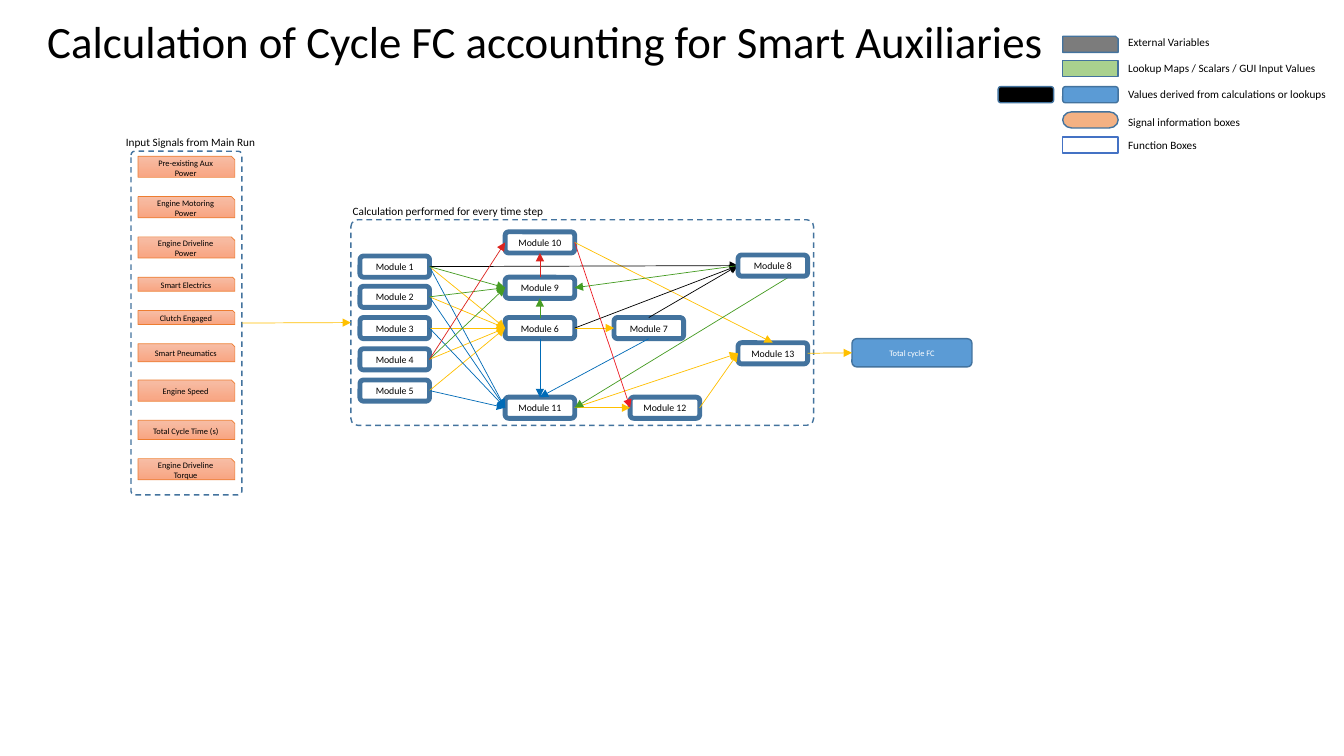
from lxml import etree
from pptx import Presentation
from pptx import util as u
from pptx.dml.color import RGBColor
from pptx.enum import dml, shapes, text
from pptx.oxml.ns import qn

COLORS = {
    "black": "000000", "white": "FFFFFF", "steel": "43739E", "blue": "5B9BD5",
    "gold": "FFC000", "navy": "006BB7", "green": "469C23", "red": "DC241F",
    "scarlet": "ED1C24", "orange": "ED7D31", "peach": "F7BDA5", "salmon": "F8A582",
    "gray": "7C7C7C", "lime": "A9D18E", "apricot": "F4B183", "royal": "4472C4",
}
FONT = "Calibri"
KIND = shapes.MSO_SHAPE
SITES = {"top": 0, "left": 1, "bottom": 2, "right": 3}

CAPTIONS = [
    ("Calculation of Cycle FC accounting for Smart Auxiliaries", 0.37, 0.09, 10.29, 0.64, 32),
    ("Input Signals from Main Run", 1.15, 1.29, 1.5, 0.24, 8),
    ("Calculation performed for every time step", 3.4, 1.98, 2.14, 0.24, 8),
]
FRAMES = {"inputs": (1.3, 1.5, 1.1, 3.41), "steps": (3.48, 2.18, 4.59, 2.04)}
SIGNALS = [
    ("Pre-existing Aux Power", 1.55, 0.21),
    ("Engine Motoring Power", 1.95, 0.21),
    ("Engine Driveline Power", 2.35, 0.21),
    ("Smart Electrics", 2.75, 0.14),
    ("Clutch Engaged", 3.08, 0.14),
    ("Smart Pneumatics", 3.41, 0.18),
    ("Engine Speed", 3.77, 0.21),
    ("Total Cycle Time (s)", 4.17, 0.19),
    ("Engine Driveline Torque", 4.55, 0.21),
]
MODULES = {
    1: (3.57, 2.54), 2: (3.57, 2.84), 3: (3.57, 3.15), 4: (3.57, 3.46), 5: (3.57, 3.77),
    6: (5.01, 3.15), 7: (6.09, 3.15), 8: (7.32, 2.53), 9: (5.01, 2.75), 10: (5.01, 2.3),
    11: (5.01, 3.94), 12: (6.25, 3.94), 13: (7.32, 3.4),
}
RESULT = ("Total cycle FC", 8.45, 3.36, 1.19, 0.28)
LINKS = [
    ("gold", "right", "left", [("inputs", "steps"), (6, 7), (1, 6), (2, 6), (3, 6), (4, 6),
                               (5, 6), (11, 12), (11, 13), (12, 13), (13, "result")]),
    ("gold", "right", "top", [(10, 13)]),
    ("black", "right", "left", [(1, 8), (6, 8)]),
    ("black", "top", "left", [(7, 8)]),
    ("navy", "right", "left", [(1, 11), (2, 11), (3, 11), (5, 11)]),
    ("navy", "bottom", "top", [(6, 11), (7, 11)]),
    ("green", "right", "left", [(1, 9), (2, 9), (4, 9)]),
    ("green", "top", "bottom", [(6, 9)]),
    ("green", "left", "right", [(8, 9)]),
    ("green", "right", "right", [(8, 11)]),
    ("red", "top", "bottom", [(9, 10)]),
    ("red", "right", "left", [(4, 10)]),
    ("scarlet", "right", "left", [(10, 12)]),
]
LEGEND = [
    ("External Variables", KIND.SNIP_1_RECTANGLE, "gray", "steel", 0.36, 0.3, 1.05),
    ("Lookup Maps / Scalars / GUI Input Values", KIND.RECTANGLE, "lime", "steel", 0.6, 0.56, 2.11),
    ("Values derived from calculations or lookups", KIND.ROUNDED_RECTANGLE, "blue", "steel",
     0.86, 0.82, 2.2),
    ("Signal information boxes", KIND.FLOWCHART_TERMINATOR, "apricot", "steel", 1.11, 1.09, 1.33),
    ("Function Boxes", KIND.RECTANGLE, "white", "royal", 1.36, 1.32, 0.9),
]


def rgb(name):
    return RGBColor.from_string(COLORS[name])


def apply(target, formats):
    for key, value in formats.items():
        setattr(target, key, value)


def write(frame, words, size, color="black", **formats):
    apply(frame, formats)
    paragraph = frame.paragraphs[0]
    run = paragraph.add_run()
    run.text = words
    apply(run.font, {"name": FONT, "size": u.Pt(size)})
    run.font.color.rgb = rgb(color)
    return paragraph


def caption(slide, words, left, top, width, height, size):
    box = slide.shapes.add_textbox(*map(u.Inches, (left, top, width, height)))
    write(box.text_frame, words, size, word_wrap=False,
          auto_size=text.MSO_AUTO_SIZE.SHAPE_TO_FIT_TEXT)


def block(slide, kind, place, fill, line, weight):
    shape = slide.shapes.add_shape(kind, *map(u.Inches, place))
    shape.shadow.inherit = False
    if fill is None:
        shape.fill.background()
    elif isinstance(fill, tuple):
        shape.fill.gradient()
        shape.fill.gradient_angle = 270
        for stop, name in zip(shape.fill.gradient_stops, fill):
            stop.color.rgb = rgb(name)
    else:
        shape.fill.solid()
        shape.fill.fore_color.rgb = rgb(fill)
    shape.line.color.rgb = rgb(line)
    shape.line.width = u.Pt(weight)
    return shape


def label(shape, words, size, color="black"):
    paragraph = write(shape.text_frame, words, size, color, word_wrap=True,
                      vertical_anchor=text.MSO_ANCHOR.MIDDLE)
    paragraph.alignment = text.PP_ALIGN.CENTER


def link(slide, source, leave, target, enter, color):
    arrow = slide.shapes.add_connector(shapes.MSO_CONNECTOR.STRAIGHT, 0, 0, 0, 0)
    arrow.begin_connect(source, SITES[leave])
    arrow.end_connect(target, SITES[enter])
    arrow.line.color.rgb = rgb(color)
    arrow.line.width = u.Pt(0.5)
    etree.SubElement(arrow.line._get_or_add_ln(), qn("a:tailEnd"), type="triangle")
    etree.SubElement(arrow.element.spPr, qn("a:effectLst"))


def main():
    deck = Presentation()
    apply(deck, {"slide_width": u.Inches(13.33), "slide_height": u.Inches(7.5)})
    slide = deck.slides.add_slide(deck.slide_layouts[6])
    nodes = {}

    for entry in CAPTIONS:
        caption(slide, *entry)
    for name, place in FRAMES.items():
        nodes[name] = block(slide, KIND.ROUNDED_RECTANGLE, place, None, "steel", 1)
        nodes[name].adjustments[0] = 0.034
        nodes[name].line.dash_style = dml.MSO_LINE.DASH
    for words, top, height in SIGNALS:
        signal = block(slide, KIND.SNIP_1_RECTANGLE, (1.37, top, 0.96, height),
                       ("peach", "salmon"), "orange", 0.5)
        label(signal, words, 6)
    for number, (left, top) in MODULES.items():
        nodes[number] = block(slide, KIND.ROUNDED_RECTANGLE, (left, top, 0.69, 0.21),
                              "white", "steel", 3.5)
        label(nodes[number], f"Module {number}", 7)

    words, *place = RESULT
    nodes["result"] = block(slide, KIND.ROUNDED_RECTANGLE, place, "blue", "steel", 1)
    label(nodes["result"], words, 6, "white")

    for color, leave, enter, pairs in LINKS:
        for source, target in pairs:
            link(slide, nodes[source], leave, nodes[target], enter, color)
    front = nodes[8].element
    front.getparent().append(front)

    for words, kind, fill, line, top, words_top, width in LEGEND:
        block(slide, kind, (10.54, top, 0.55, 0.16), fill, line, 1)
        caption(slide, words, 11.09, words_top, width, 0.24, 8)
    block(slide, KIND.ROUNDED_RECTANGLE, (9.9, 0.86, 0.55, 0.16), "black", "steel", 1)

    deck.save("out.pptx")


if __name__ == "__main__":
    main()
